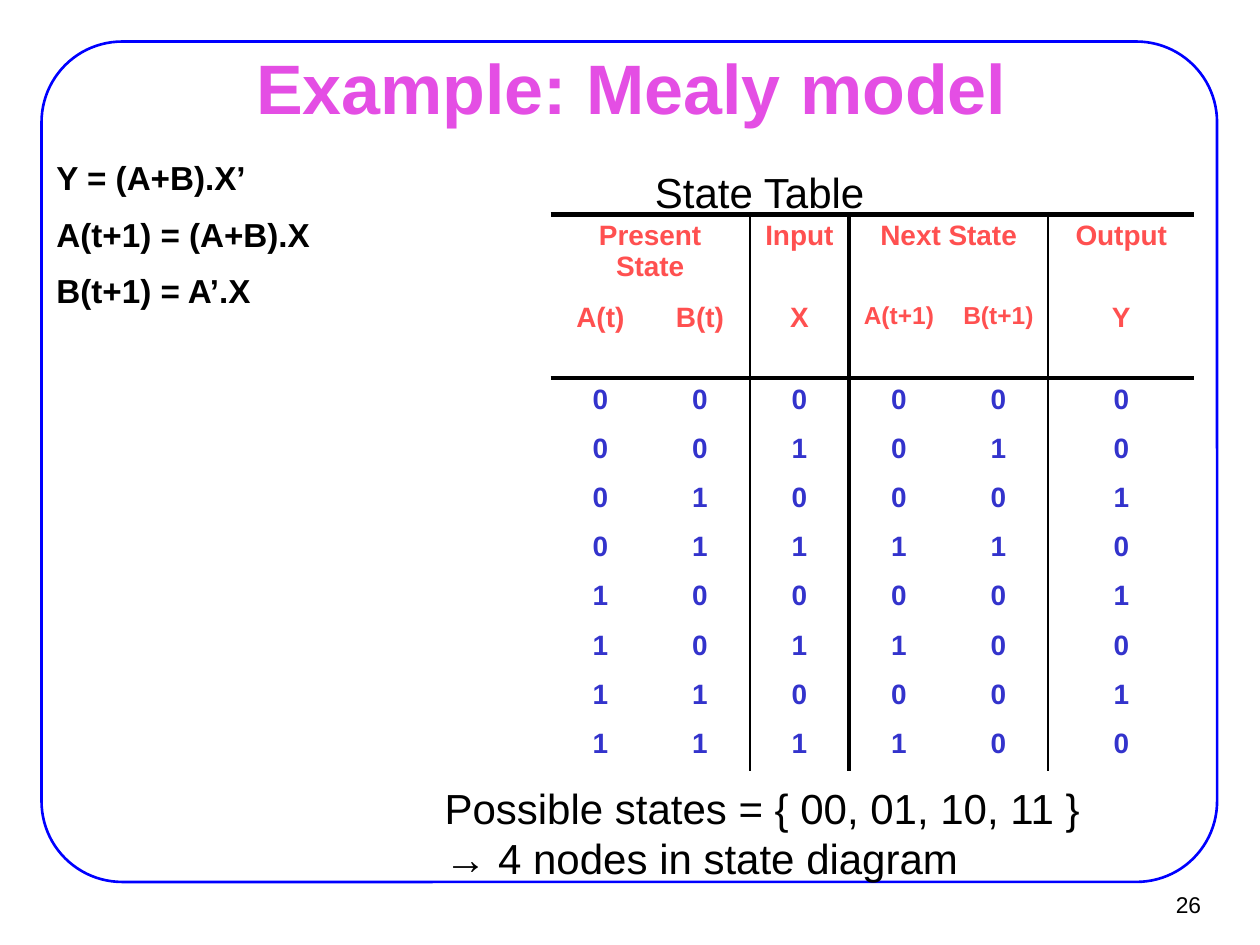
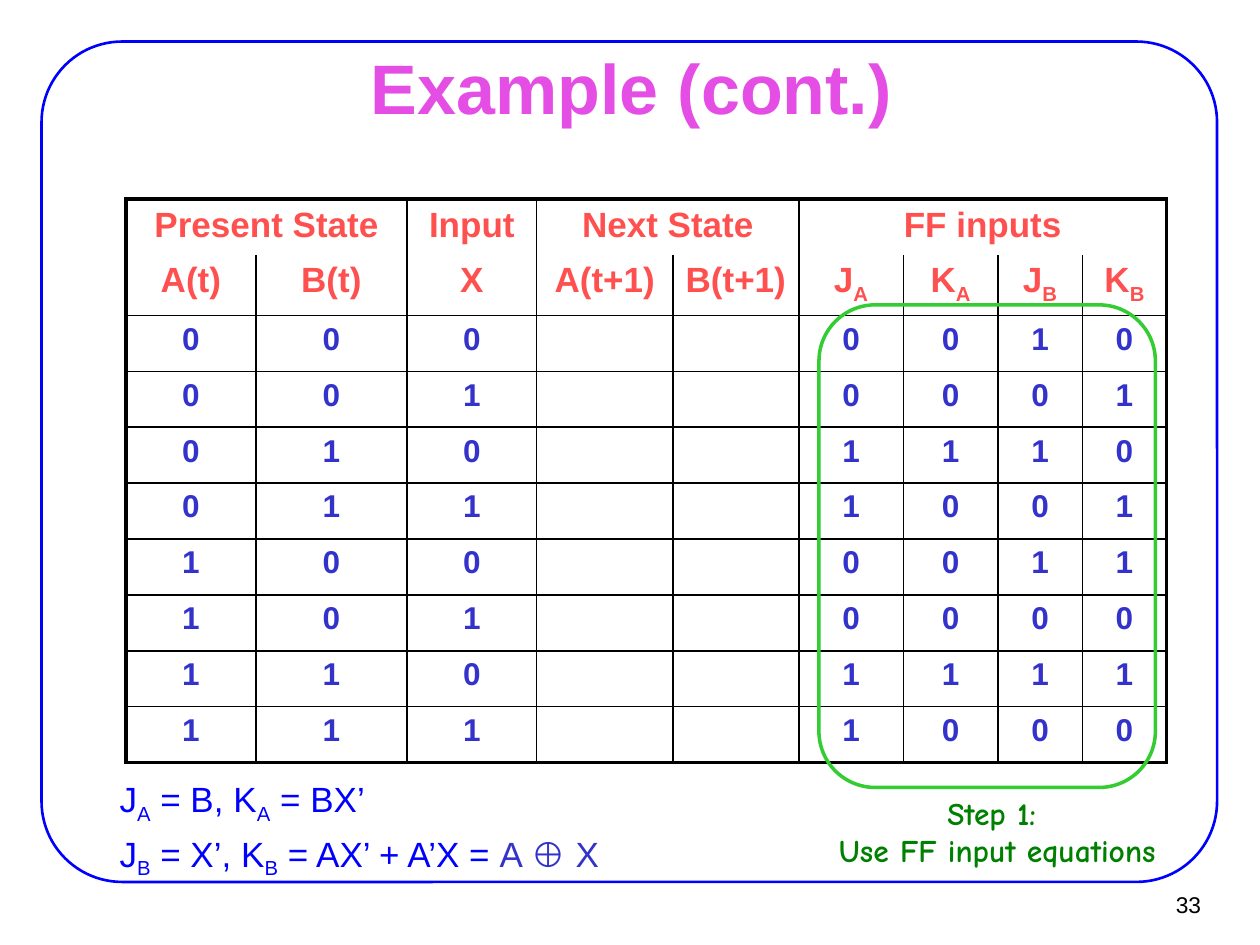
from lxml.etree import SubElement
from pptx import Presentation
from pptx.dml.color import RGBColor
from pptx.enum.shapes import MSO_SHAPE
from pptx.enum.text import MSO_ANCHOR, PP_ALIGN
from pptx.oxml.ns import qn
from pptx.util import Inches, Pt

FONT, BLACK, BLUE, PINK = "Arial", "000000", "0000FF", "E44EE4"
HEAD, BODY, GREEN, RING = "FF5050", "3333CC", "008000", "33CC33"
LEFT, MID, RIGHT = PP_ALIGN.LEFT, PP_ALIGN.CENTER, PP_ALIGN.RIGHT


def paint(code):
    """Turn a hex string into a colour."""
    return RGBColor.from_string(code)


def write(frame, lines, size, color, bold=False, align=LEFT, gap=0, font=FONT):
    """Fill a frame line by line; every second piece between bars is a subscript."""
    for i, line in enumerate(lines):
        para = frame.add_paragraph() if i else frame.paragraphs[0]
        first, *rest = line.split("|")
        para.text = first
        para.alignment = align
        for j, piece in enumerate(rest, 1):
            run = para.add_run()
            run.text = piece
            if j % 2:
                run.font._element.set("baseline", "-25000")
        for run in para.runs:
            run.font.size, run.font.bold, run.font.name = Pt(size), bold, font
            run.font.color.rgb = paint(color)
        if gap:
            space = SubElement(para._p.get_or_add_pPr(), qn("a:spcBef"))
            SubElement(space, qn("a:spcPct")).set("val", str(gap * 1000))


def label(slide, box, lines, size, color=BLACK, anchor=MSO_ANCHOR.TOP, **style):
    """Add a text box and return its frame."""
    frame = slide.shapes.add_textbox(*map(Inches, box)).text_frame
    frame.word_wrap = True
    frame.vertical_anchor = anchor
    write(frame, lines, size, color, **style)
    return frame


def outline(slide, box, color, width, bend):
    """Add an unfilled rounded rectangle."""
    shape = slide.shapes.add_shape(MSO_SHAPE.ROUNDED_RECTANGLE, *map(Inches, box))
    shape.adjustments[0] = bend
    shape.shadow.inherit = False
    shape.fill.background()
    shape.line.color.rgb = paint(color)
    shape.line.width = Pt(width)


def start(deck, title, number):
    """Add a slide with the shared frame, title and number."""
    slide = deck.slides.add_slide(deck.slide_layouts[6])
    outline(slide, (0.33, 0.33, 9.33, 6.67), BLUE, 1.5, 0.096)
    middle = MSO_ANCHOR.MIDDLE
    label(slide, (9.02, 6.99, 0.61, 0.37), [number], 13, anchor=middle, align=RIGHT)
    label(slide, (0.76, 0.44, 8.5, 0.49), [title], 40, PINK, middle, bold=True, align=MID)
    return slide


def border(cell, widths):
    """Draw the left, right, top and bottom edges of a cell; zero hides one."""
    props = cell._tc.get_or_add_tcPr()
    for side, width in zip("LRTB", widths):
        line = SubElement(props, qn(f"a:ln{side}"), w=str(Pt(width)))
        if width:
            fill = SubElement(line, qn("a:solidFill"))
            SubElement(fill, qn("a:srgbClr"), val=BLACK)
        else:
            SubElement(line, qn("a:noFill"))


def grid(slide, spot, cols, tall, rows, spans, down, across, style):
    """Add a table; down and across give the widths of its rules, style its sizes."""
    box = (*spot, sum(cols), sum(tall))
    table = slide.shapes.add_table(len(rows), len(cols), *map(Inches, box)).table
    table.first_row = table.horz_banding = False
    for col, width in zip(table.columns, cols):
        col.width = Inches(width)
    for row, height in zip(table.rows, tall):
        row.height = Inches(height)
    for a, b in spans:
        table.cell(0, a).merge(table.cell(0, b))
    for r, row in enumerate(rows):
        for c, text in enumerate(row):
            cell = table.cell(r, c)
            if cell.is_spanned:
                continue
            end = c + (cell.span_width if cell.is_merge_origin else 1)
            border(cell, (down[c], down[end], across[r], across[r + 1]))
            cell.fill.background()
            if text:
                size = style.get(text, style["head" if r < 2 else "body"])
                color = HEAD if r < 2 else BODY
                write(cell.text_frame, [text], size, color, bold=True, align=MID, gap=20)


def mealy(deck):
    """Build the slide with the state table."""
    slide = start(deck, "Example: Mealy model", "26")
    label(slide, (5.1, 1.27, 4.17, 0.5), ["State Table"], 24)
    states = ["Possible states = { 00, 01, 10, 11 }", "→ 4 nodes in state diagram"]
    label(slide, (3.43, 6.16, 5.5, 0.91), states, 24)
    rules = ["Y = (A+B).X’", "A(t+1) = (A+B).X", "B(t+1) = A’.X"]
    label(slide, (0.35, 1.2, 2.76, 1.38), rules, 19, bold=True, gap=50)
    rows = [
        ["Present State", "", "Input", "Next State", "", "Output"],
        ["A(t)", "B(t)", "X", "A(t+1)", "B(t+1)", "Y"],
        *"000000 001010 010001 011110 100001 101100 110001 111100".split(),
    ]
    grid(slide, (4.37, 1.7), [0.79] * 5 + [1.16], [0.65] * 2 + [0.39] * 8, rows,
         [(0, 1), (3, 4)], [0, 0, 1.5, 3, 0, 1, 0], [3, 0, 3] + [0] * 8,
         {"head": 16, "body": 16, "A(t+1)": 14, "B(t+1)": 14})


def inputs(deck):
    """Build the slide with the flip-flop inputs."""
    slide = start(deck, "Example (cont.)", "33")
    rows = [
        ["Present State", "", "Input", "Next State", "", "FF inputs", "", "", ""],
        ["A(t)", "B(t)", "X", "A(t+1)", "B(t+1)", "J|A", "K|A", "J|B", "K|B"],
    ]
    flips = "0010 0001 1110 1001 0011 0000 1111 1000".split()
    rows += [[*f"{n:03b}", "", "", *bits] for n, bits in enumerate(flips)]
    cols = [1.03, 1.2, 1.03, 1.08, 1, 0.83, 0.75, 0.67, 0.67]
    grid(slide, (1, 1.58), cols, [0.444] * 10, rows, [(0, 1), (3, 4), (5, 8)],
         [2.25] + [1] * 8 + [2.25], [2.25, 0] + [1] * 8 + [2.25],
         {"head": 20, "body": 18})
    outline(slide, (6.5, 2.42, 2.67, 3.83), RING, 2, 0.167)
    label(slide, (6.33, 6.25, 3.17, 0.7), ["Step 1: \vUse FF input equations"], 18,
          GREEN, bold=True, align=MID, gap=50, font="Comic Neue")
    lines = ["J|A| = B, K|A| = BX’", "J|B| = X’, K|B| = AX’ + A’X = "]
    frame = label(slide, (0.35, 6.12, 6.22, 0.84), lines, 20, BLUE, gap=20)
    for para in frame.paragraphs:
        para._p.get_or_add_pPr().set("marL", str(Inches(0.5)))
    run = frame.paragraphs[1].add_run()
    run.text = "A ⊕ X"
    run.font.size, run.font.name = Pt(20), FONT
    run.font.color.rgb = paint(BODY)


def main():
    """Build and save the deck."""
    deck = Presentation()
    deck.slide_width, deck.slide_height = Inches(10), Inches(7.5)
    mealy(deck)
    inputs(deck)
    deck.save("out.pptx")


if __name__ == "__main__":
    main()
